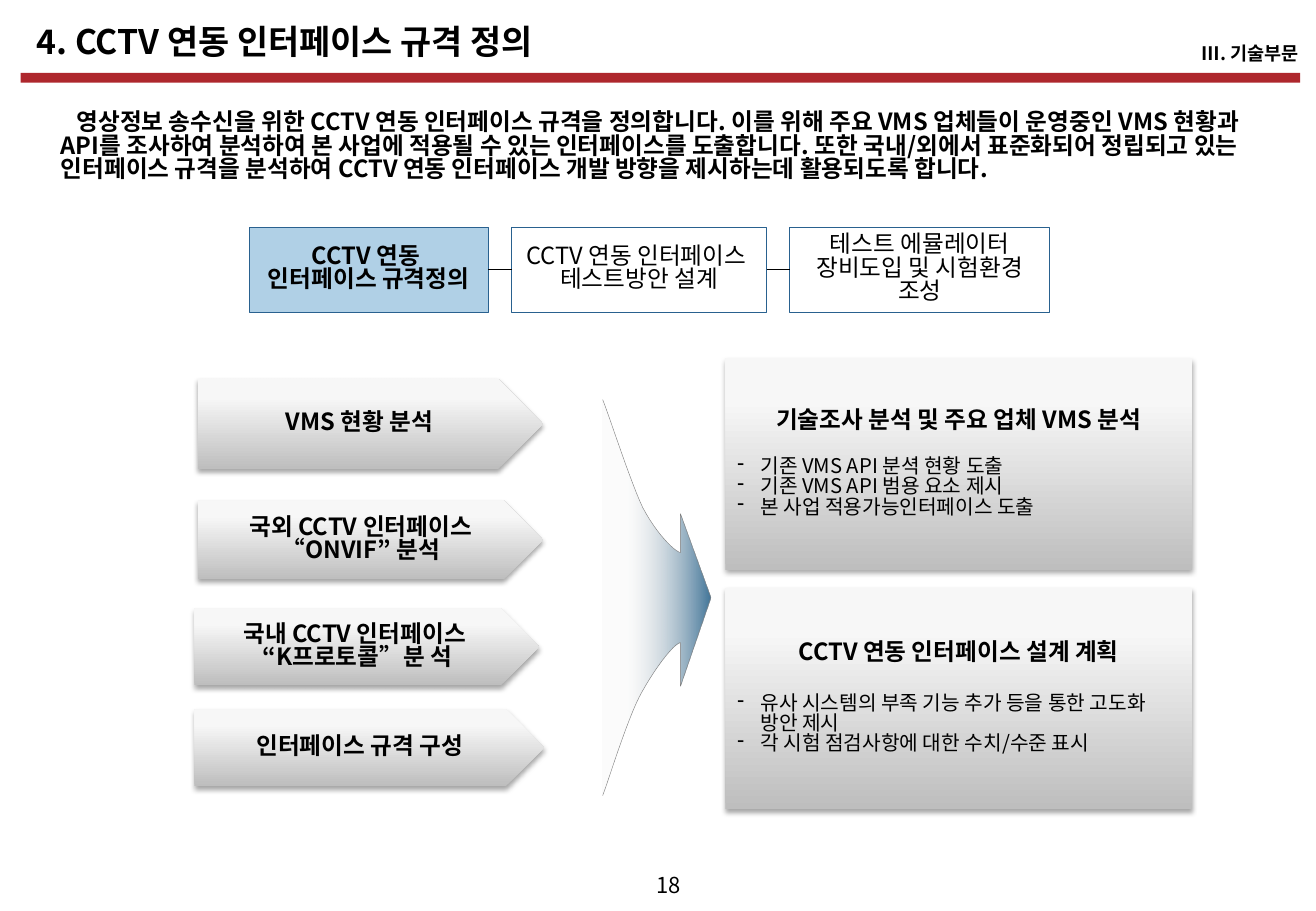
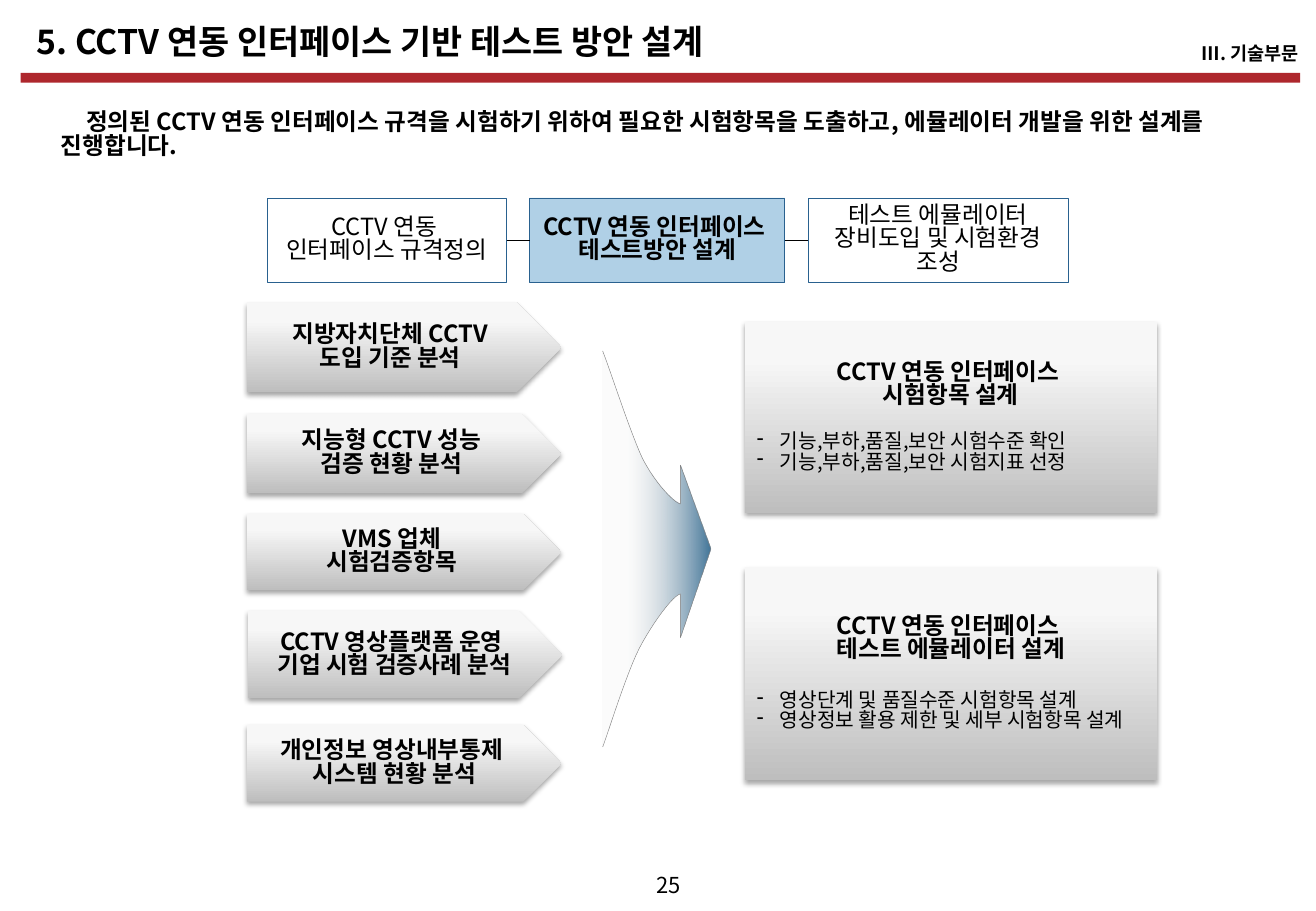
from lxml.etree import SubElement
from pptx import Presentation
from pptx.dml.color import RGBColor
from pptx.enum.shapes import MSO_CONNECTOR as Connector, MSO_SHAPE as Preset
from pptx.enum.text import MSO_ANCHOR as Anchor, MSO_AUTO_SIZE as AutoSize, PP_ALIGN as Align
from pptx.oxml.ns import qn
from pptx.util import Emu, Pt

PX = 9144
FONT = "Noto Sans CJK KR"
LINE_SPACING = 0.83
COLORS = {
    "text": "000000", "band": "AE272D", "active": "B0D0E6", "outline": "29618F",
    "gray_dark": "BEBEBE", "gray_light": "F7F7F7", "gray_top": "F8F8F8",
    "arrow_pale": "D9D9D9", "arrow_blue": "417599", "arrow_line": "808080",
}
METAL = [(0, "gray_dark", 100), (80, "gray_light", 100), (100, "gray_top", 100)]
ARROW_FADE = [(23, "arrow_pale", 9), (100, "arrow_blue", 100)]
ARROW_PATH = [
    [(0, 326)],
    [(5, 313), (19, 267), (30, 245)],
    [(41, 224), (58, 201), (64, 200)],
    [(64, 236)], [(89, 163)], [(64, 94)], [(64, 126)],
    [(59, 125), (44, 110), (33, 89)],
    [(23, 68), (7, 18), (0, 0)],
]
STEP_GAP = 19
STEP_HEIGHT = 70
STEPS = [
    (197, ["CCTV 연동 ", "인터페이스 규격정의"]),
    (210, ["CCTV 연동 인터페이스 ", "테스트방안 설계"]),
    (214, ["테스트 에뮬레이터 장비도입 및 시험환경 조성"]),
]


def px(*lengths):
    """Turn px lengths into EMU."""
    return [Emu(round(length * PX)) for length in lengths]


def rgb(name):
    """Look up a named colour."""
    return RGBColor.from_string(COLORS[name])


def write(frame, text, size=14, bold=False, align=Align.CENTER, before=0,
          margin=0, indent=0, bullet=None):
    """Put text in the first empty paragraph or in a new one."""
    para = frame.paragraphs[0]
    if para.runs:
        para = frame.add_paragraph()
    para.alignment = align
    para.line_spacing = LINE_SPACING
    para.space_before = Pt(before)
    props = para._p.get_or_add_pPr()
    props.set("marL", str(margin * PX))
    props.set("indent", str(indent * PX))
    if bullet:
        SubElement(props, qn("a:buChar"), char=bullet)
    span = para.add_run()
    span.text = text
    span.font.size = Pt(size)
    span.font.bold = bold
    span.font.color.rgb = rgb("text")
    span.font.name = FONT
    SubElement(span._r.get_or_add_rPr(), qn("a:ea"), typeface=FONT)


def prepare(frame, margins=(0, 0, 0, 0), anchor=Anchor.MIDDLE, wrap=True):
    """Set the margins, anchor and wrapping of a text frame."""
    frame.auto_size = AutoSize.NONE
    frame.word_wrap = wrap
    frame.vertical_anchor = anchor
    (frame.margin_left, frame.margin_top,
     frame.margin_right, frame.margin_bottom) = px(*margins)
    return frame


def add_label(page, box, text, anchor=Anchor.MIDDLE, wrap=True, **style):
    """Add a text box with one paragraph."""
    label = page.shapes.add_textbox(*px(*box))
    write(prepare(label.text_frame, anchor=anchor, wrap=wrap), text, **style)


def add_block(page, preset, box, fill=None, outline=None):
    """Add a flat preset shape."""
    block = page.shapes.add_shape(preset, *px(*box))
    block.shadow.inherit = False
    if fill:
        block.fill.solid()
        block.fill.fore_color.rgb = rgb(fill)
    else:
        block.fill.background()
    if outline:
        block.line.color.rgb = rgb(outline)
        block.line.width = Pt(0.5)
    else:
        block.line.fill.background()
    return block


def paint_gradient(shape, stops, angle):
    """Fill a shape with a linear gradient."""
    shape.fill.gradient()
    shape.fill.gradient_angle = angle
    stop_list = shape._element.spPr.find(qn("a:gradFill")).find(qn("a:gsLst"))
    for stop in list(stop_list):
        stop_list.remove(stop)
    for position, name, opacity in stops:
        stop = SubElement(stop_list, qn("a:gs"), pos=str(position * 1000))
        color = SubElement(stop, qn("a:srgbClr"), val=COLORS[name])
        if opacity < 100:
            SubElement(color, qn("a:alpha"), val=str(opacity * 1000))


def add_metal(page, preset, box):
    """Add a gray gradient shape with a soft shadow and return its text frame."""
    block = add_block(page, preset, box)
    paint_gradient(block, METAL, 90)
    effects = block._element.spPr.find(qn("a:effectLst"))
    shadow = SubElement(effects, qn("a:outerShdw"), blurRad=str(Pt(3.1)), dist=str(Pt(1.8)),
                        dir="5400000", rotWithShape="0")
    color = SubElement(shadow, qn("a:srgbClr"), val=COLORS["text"])
    SubElement(color, qn("a:alpha"), val="35000")
    return prepare(block.text_frame, margins=(10, 5, 10, 5))


def add_frame(page, title, number):
    """Place the title, section name, red band and page number."""
    heading = page.shapes.title
    heading.left, heading.top, heading.width, heading.height = px(30, 20, 580, 34)
    write(prepare(heading.text_frame), title, size=20, bold=True, align=Align.LEFT)
    add_block(page, Preset.RECTANGLE, (17, 60, 1053, 8), fill="band")
    add_label(page, (610, 36, 459, 19), "Ⅲ. 기술부문", size=11, bold=True, align=Align.RIGHT)
    add_label(page, (528, 719, 45, 22), str(number), size=13, wrap=False)


def add_steps(page, left, top, active):
    """Place the row of joined steps with one highlighted."""
    previous = None
    for index, (width, lines) in enumerate(STEPS):
        current = index == active
        step = add_block(page, Preset.RECTANGLE, (left, top, width, STEP_HEIGHT),
                         fill="active" if current else None, outline="outline")
        frame = prepare(step.text_frame, margins=(6, 4, 6, 5))
        for line in lines:
            write(frame, line, bold=current)
        if previous:
            link = page.shapes.add_connector(Connector.STRAIGHT, 0, 0, 0, 0)
            link.begin_connect(previous, 3)
            link.end_connect(step, 1)
            link.line.color.rgb = rgb("text")
            link.line.width = Pt(0.75)
            SubElement(link._element.spPr, qn("a:effectLst"))
        previous = step
        left += width + STEP_GAP


def add_inputs(page, left, inputs):
    """Place the column of pentagons."""
    for shift, top, width, height, lines in inputs:
        frame = add_metal(page, Preset.PENTAGON, (left + shift, top, width, height))
        for line in lines:
            write(frame, line, bold=True)


def curve(start, first, second, end, steps=12):
    """Return points along a cubic curve."""
    points = []
    for step in range(1, steps + 1):
        t = step / steps
        weights = ((1 - t) ** 3, 3 * t * (1 - t) ** 2, 3 * t * t * (1 - t), t ** 3)
        corners = (start, first, second, end)
        points.append(tuple(sum(w * c[axis] for w, c in zip(weights, corners))
                            for axis in (0, 1)))
    return points


def add_arrow(page, left, top):
    """Place the funnel arrow."""
    points = []
    for part in ARROW_PATH:
        points += curve(points[-1], *part) if len(part) == 3 else part
    places = [px(left + x, top + y) for x, y in points]
    builder = page.shapes.build_freeform(*places[0], scale=1.0)
    builder.add_line_segments(places[1:], close=False)
    arrow = builder.convert_to_shape()
    arrow.shadow.inherit = False
    paint_gradient(arrow, ARROW_FADE, 0)
    arrow.line.color.rgb = rgb("arrow_line")
    arrow.line.width = Pt(0.25)


def add_results(page, left, width, results):
    """Place the column of result panels."""
    for top, height, gap, headings, items in results:
        frame = add_metal(page, Preset.RECTANGLE, (left, top, width, height))
        for heading in headings:
            write(frame, heading, bold=True)
        for index, item in enumerate(items):
            write(frame, item, size=12, align=Align.LEFT, before=0 if index else gap,
                  margin=19, indent=-19, bullet="-")


def add_plan(deck, title, number, intro, intro_indent, steps, inputs, arrow, results):
    """Build one planning slide."""
    page = deck.slides.add_slide(deck.slide_layouts[5])
    add_frame(page, title, number)
    add_label(page, (27, 92, 1003, 71), intro, anchor=Anchor.TOP, bold=True,
              align=Align.LEFT, margin=23, indent=intro_indent)
    add_steps(page, *steps)
    add_inputs(page, *inputs)
    add_arrow(page, *arrow)
    add_results(page, *results)


def main():
    """Build and save the deck."""
    deck = Presentation()
    deck.slide_width, deck.slide_height = px(1083, 750)
    add_plan(
        deck, "4. CCTV 연동 인터페이스 규격 정의", 18,
        "영상정보 송수신을 위한 CCTV 연동 인터페이스 규격을 정의합니다. 이를 위해 주요 VMS 업체들이 "
        "운영중인 VMS 현황과 API를 조사하여 분석하여 본 사업에 적용될 수 있는 인터페이스를 도출합니다. "
        "또한 국내/외에서 표준화되어 정립되고 있는 인터페이스 규격을 분석하여 CCTV 연동 인터페이스 "
        "개발 방향을 제시하는데 활용되도록 합니다.",
        13, (205, 187, 0),
        (160, [
            (3, 312, 284, 74, ["VMS 현황 분석"]),
            (3, 412, 284, 65, ["국외 CCTV 인터페이스 “ONVIF” 분석"]),
            (0, 501, 284, 63, ["국내 CCTV 인터페이스 ", "“K프로토콜”분 석"]),
            (0, 584, 288, 63, ["인터페이스 규격 구성"]),
        ]),
        (496, 329),
        (597, 384, [
            (295, 174, 14.5, ["기술조사 분석 및 주요 업체 VMS 분석"],
             ["기존 VMS API 분셕 현황 도출", "기존 VMS API 범용 요소 제시",
              "본 사업 적용가능인터페이스 도출"]),
            (484, 182, 17, ["CCTV 연동 인터페이스 설계 계획"],
             ["유사 시스템의 부족 기능 추가 등을 통한 고도화 방안 제시",
              "각 시험 점검사항에 대한 수치/수준 표시"]),
        ]))
    add_plan(
        deck, "5. CCTV 연동 인터페이스 기반 테스트 방안 설계", 25,
        "정의된 CCTV 연동 인터페이스 규격을 시험하기 위하여 필요한 시험항목을 도출하고, "
        "에뮬레이터 개발을 위한 설계를 진행합니다.",
        21, (220, 163, 1),
        (203, [
            (0, 249, 259, 74, ["지방자치단체 CCTV ", "도입 기준 분석 "]),
            (0, 341, 259, 65, ["지능형 CCTV 성능 ", "검증 현황 분석 "]),
            (0, 423, 259, 63, ["VMS 업체 ", "시험검증항목 "]),
            (1, 503, 259, 72, ["CCTV 영상플랫폼 운영 ", "기업 시험 검증사례 분석"]),
            (0, 597, 259, 63, ["개인정보 영상내부통제 ", "시스템 현황 분석"]),
        ]),
        (496, 289),
        (613, 339, [
            (265, 157, 14.5, ["CCTV 연동 인터페이스 ", "시험항목 설계"],
             ["기능,부하,품질,보안 시험수준 확인", "기능,부하,품질,보안 시험지표 선정"]),
            (467, 175, 17, ["CCTV 연동 인터페이스 ", "테스트 에뮬레이터 설계"],
             ["영상단계 및 품질수준 시험항목 설계", "영상정보 활용 제한 및 세부 시험항목 설계"]),
        ]))
    deck.save("out.pptx")


if __name__ == "__main__":
    main()
